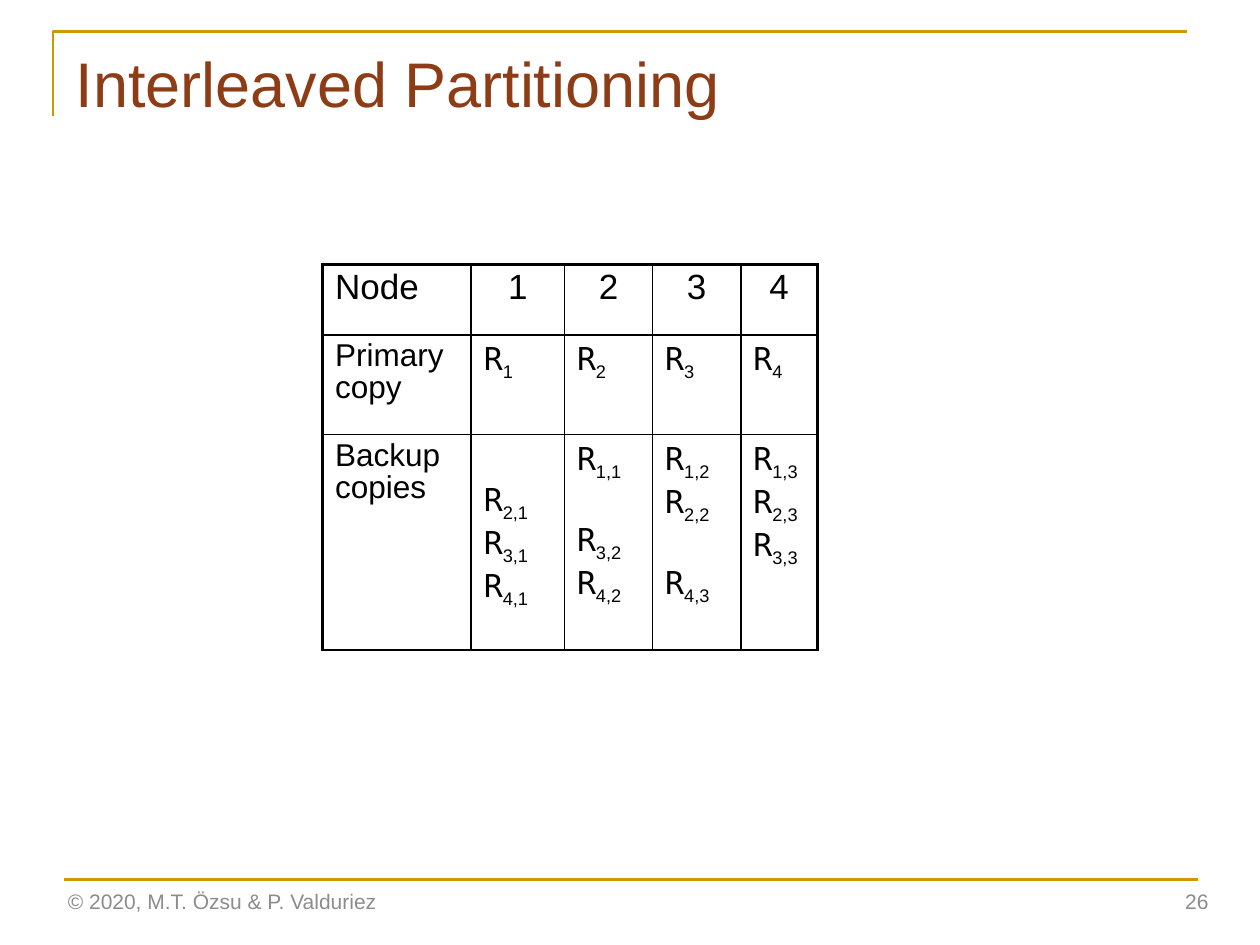
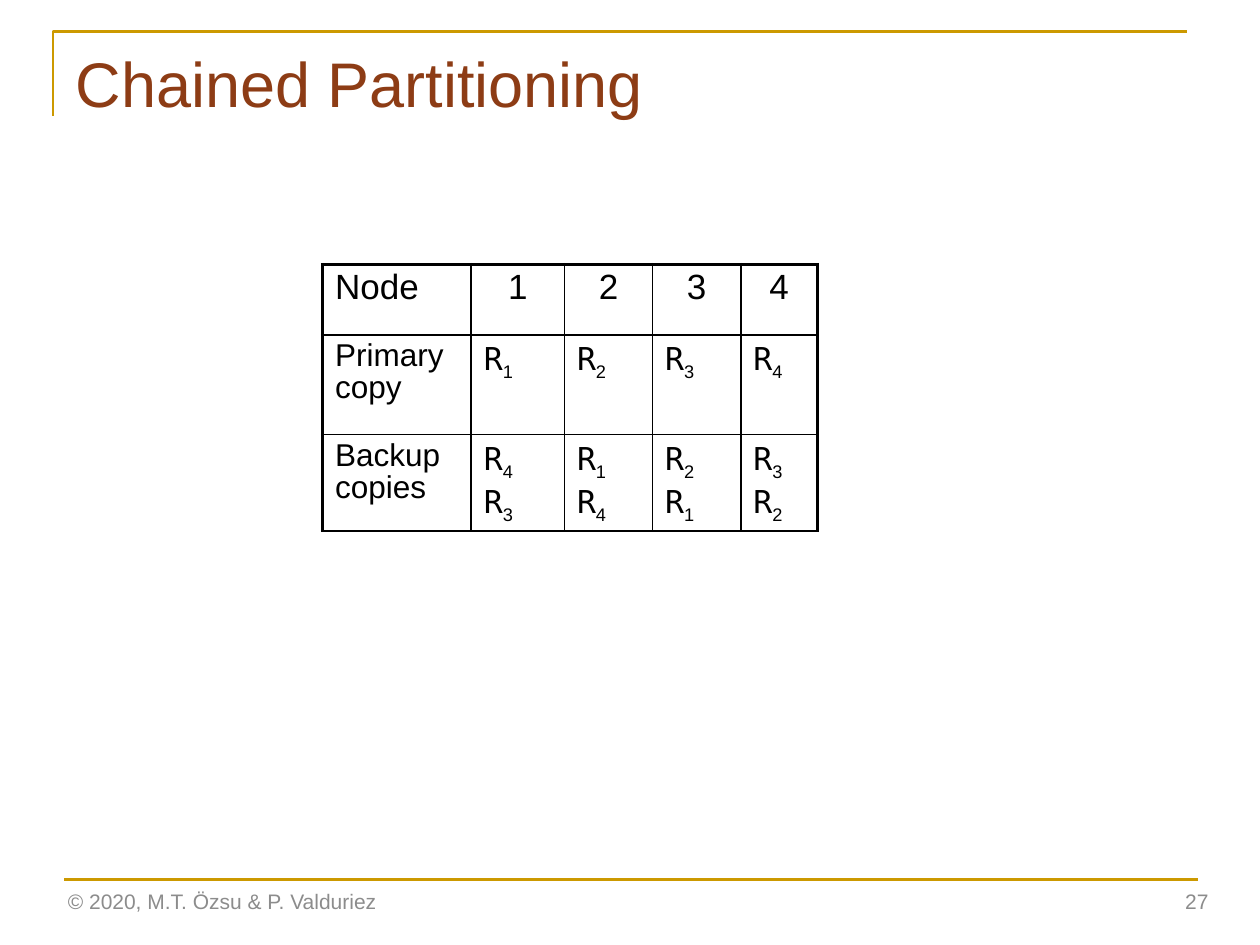
from lxml.etree import SubElement
from pptx import Presentation
from pptx.dml.color import RGBColor
from pptx.enum.shapes import MSO_CONNECTOR
from pptx.enum.text import MSO_ANCHOR, MSO_AUTO_SIZE, PP_ALIGN
from pptx.oxml.ns import qn
from pptx.util import Inches, Pt

GOLD = RGBColor(0xCC, 0x99, 0x00)
BROWN = RGBColor(0x8D, 0x3C, 0x15)
GRAY = RGBColor(0x8C, 0x8C, 0x8C)
BLACK = RGBColor(0x00, 0x00, 0x00)
WHITE = RGBColor(0xFF, 0xFF, 0xFF)

TITLE_FONT = {"name": "Arial", "size": Pt(36), "color": BROWN}
FOOTER_FONT = {"name": "Arial", "size": Pt(12), "color": GRAY}
HEADER_FONT = {"name": "Arial", "size": Pt(20), "color": BLACK}
LABEL_FONT = {"name": "Arial", "size": Pt(18), "color": BLACK}
RELATION_FONT = {**LABEL_FONT, "name": "DejaVu Sans Mono"}

COLUMN_WIDTHS = [1.18, 0.74, 0.7, 0.7, 0.61]
HEADER = ["Node", "1", "2", "3", "4"]
PRIMARY = ["Primary copy", ["1"], ["2"], ["3"], ["4"]]
LINE_GAP = Pt(3.6)
SKIPPED_LINE_GAP = Pt(25.3)
SKIPPED_FIRST_LINE = Inches(0.38)

PARTITIONINGS = [
    {
        "title": "Interleaved Partitioning",
        "number": "26",
        "backups": [
            [None, "2,1", "3,1", "4,1"],
            ["1,1", None, "3,2", "4,2"],
            ["1,2", "2,2", None, "4,3"],
            ["1,3", "2,3", "3,3"],
        ],
        "backup_height": 1.71,
    },
    {
        "title": "Chained Partitioning",
        "number": "27",
        "backups": [["4", "3"], ["1", "4"], ["2", "1"], ["3", "2"]],
        "backup_height": 0.73,
    },
]


def add_span(para, text, style):
    span = para.add_run()
    span.text = text
    for key, value in style.items():
        if key == "color":
            span.font.color.rgb = value
        else:
            setattr(span.font, key, value)
    return span


def set_border(cell, side, width):
    properties = cell._tc.get_or_add_tcPr()
    border = SubElement(properties, qn(f"a:ln{side}"), w=str(Pt(width)))
    fill = SubElement(border, qn("a:solidFill"))
    SubElement(fill, qn("a:srgbClr"), val=str(BLACK))


deck = Presentation()
deck.slide_width = Inches(10)
deck.slide_height = Inches(7.5)

for partitioning in PARTITIONINGS:
    page = deck.slides.add_slide(deck.slide_layouts[5])

    outline = page.shapes.build_freeform(Inches(0.42), Inches(0.92))
    outline.add_line_segments(
        [(Inches(0.42), Inches(0.25)), (Inches(9.42), Inches(0.25))], close=False
    )
    corner = outline.convert_to_shape()
    corner.fill.background()
    corner.shadow.inherit = False
    rule = page.shapes.add_connector(
        MSO_CONNECTOR.STRAIGHT, Inches(0.51), Inches(6.98), Inches(9.51), Inches(6.98)
    )
    SubElement(rule._element.spPr, qn("a:effectLst"))
    for stroke in (corner, rule):
        stroke.line.color.rgb = GOLD
        stroke.line.width = Pt(1.5)

    title = page.shapes.title
    place = {"left": 0.5, "top": 0.3, "width": 9, "height": 1.25}
    for key, value in place.items():
        setattr(title, key, Inches(value))
    title.text_frame.vertical_anchor = MSO_ANCHOR.TOP
    title.text_frame.auto_size = MSO_AUTO_SIZE.NONE
    para = title.text_frame.paragraphs[0]
    para.alignment = PP_ALIGN.LEFT
    add_span(para, partitioning["title"], TITLE_FONT)

    for text, left, width, alignment in [
        ("© 2020, M.T. Özsu & P. Valduriez", 0.44, 3.38, PP_ALIGN.LEFT),
        (partitioning["number"], 7.44, 2.25, PP_ALIGN.RIGHT),
    ]:
        box = page.shapes.add_textbox(
            Inches(left), Inches(6.95), Inches(width), Inches(0.4)
        )
        box.text_frame.word_wrap = True
        box.text_frame.vertical_anchor = MSO_ANCHOR.MIDDLE
        para = box.text_frame.paragraphs[0]
        para.alignment = alignment
        add_span(para, text, FOOTER_FONT)

    rows = [HEADER, PRIMARY, ["Backup copies", *partitioning["backups"]]]
    heights = [0.56, 0.79, partitioning["backup_height"]]
    table = page.shapes.add_table(
        len(rows), len(HEADER), Inches(2.56), Inches(2.1),
        Inches(sum(COLUMN_WIDTHS)), Inches(sum(heights)),
    ).table
    table.first_row = False
    table.horz_banding = False
    for column, width in zip(table.columns, COLUMN_WIDTHS):
        column.width = Inches(width)

    for row_index, (row, height) in enumerate(zip(rows, heights)):
        table.rows[row_index].height = Inches(height)
        for column_index, content in enumerate(row):
            cell = table.cell(row_index, column_index)
            set_border(cell, "L", 2.25 if column_index == 0 else 1)
            set_border(cell, "R", 2.25 if column_index == len(row) - 1 else 1)
            set_border(cell, "T", 2.25 if row_index == 0 else 1)
            set_border(cell, "B", 1)
            cell.fill.solid()
            cell.fill.fore_color.rgb = WHITE

            para = cell.text_frame.paragraphs[0]
            para.line_spacing = 0.9
            if isinstance(content, str):
                add_span(para, content, HEADER_FONT if row_index == 0 else LABEL_FONT)
                if column_index > 0:
                    para.alignment = PP_ALIGN.CENTER
                continue

            if content[0] is None:
                cell.margin_top = SKIPPED_FIRST_LINE
            gap = Pt(0)
            for subscript in content:
                if subscript is None:
                    gap = SKIPPED_LINE_GAP if para.runs else Pt(0)
                    continue
                if para.runs:
                    para = cell.text_frame.add_paragraph()
                    para.line_spacing = 0.9
                para.space_before = gap
                add_span(para, "R", RELATION_FONT)
                index = add_span(para, subscript, LABEL_FONT)
                index.font._element.set("baseline", "-25000")
                gap = LINE_GAP

deck.save("out.pptx")
